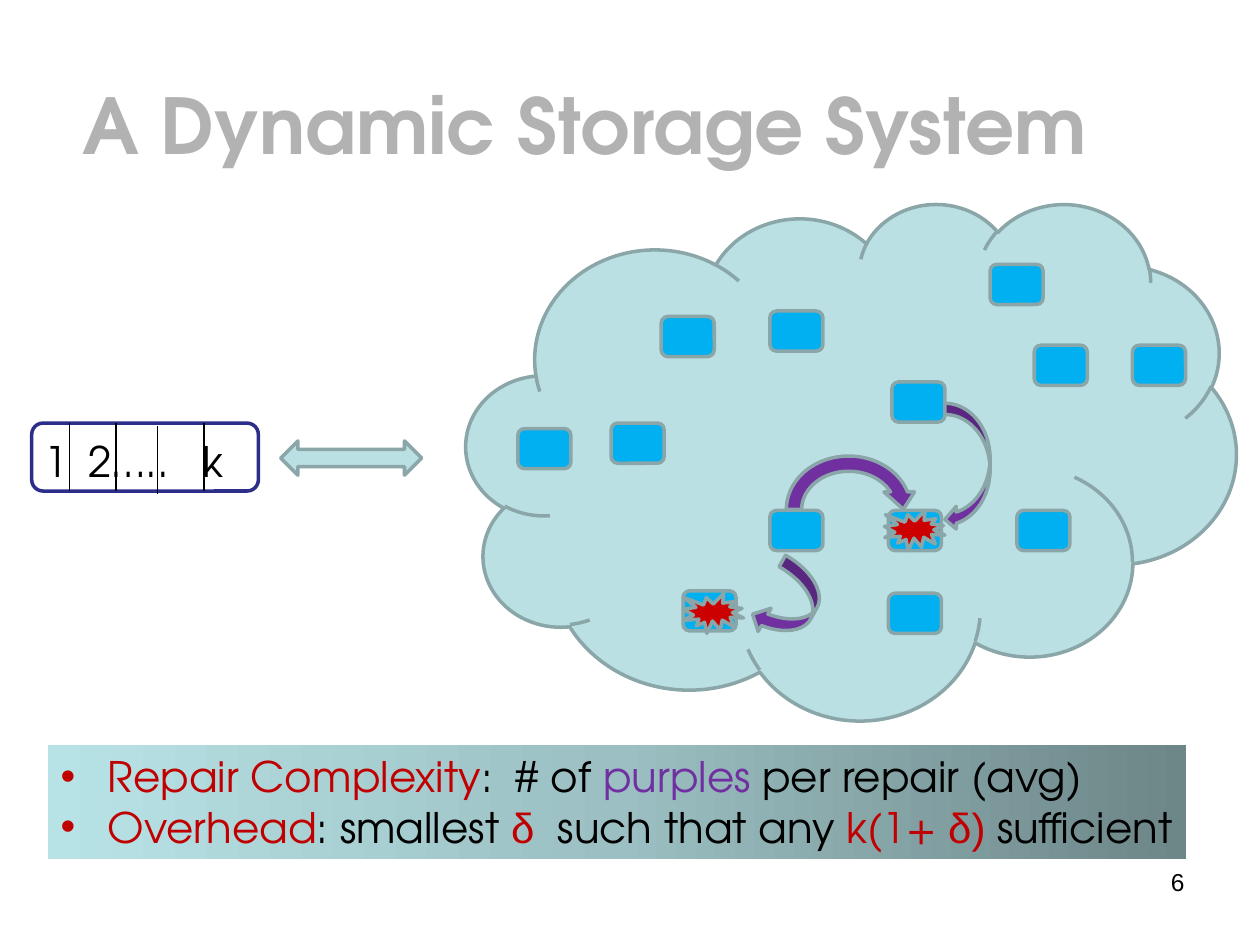
from copy import deepcopy

from lxml.etree import SubElement
from pptx import Presentation
from pptx.dml.color import RGBColor
from pptx.enum.shapes import MSO_CONNECTOR, MSO_SHAPE
from pptx.enum.text import MSO_ANCHOR, MSO_AUTO_SIZE, PP_ALIGN
from pptx.oxml.ns import qn
from pptx.util import Cm, Pt

GREY = RGBColor(0xB2, 0xB2, 0xB2)
BLACK = RGBColor(0, 0, 0)
WHITE = RGBColor(0xFF, 0xFF, 0xFF)
NAVY = RGBColor(0x2D, 0x2D, 0x8A)
PALE = RGBColor(0xBB, 0xE0, 0xE3)
OUTLINE = RGBColor(0x8A, 0xA6, 0xA8)
BLUE = RGBColor(0x00, 0xB0, 0xF0)
RED = RGBColor(0xCC, 0, 0)
DARK_RED = RGBColor(0xC0, 0, 0)
PURPLE = RGBColor(0x70, 0x30, 0xA0)
BAND_STOPS = [
    (0, RGBColor(0x6D, 0x86, 0x88)),
    (0.5, RGBColor(0x9B, 0xBF, 0xC2)),
    (1, RGBColor(0xB8, 0xE3, 0xE6)),
]
DISPLAY, PLAIN = "TeX Gyre Adventor", "Arial"

HEADING = "A Dynamic Storage System"
PAGE_NUMBER = "6"
FILE_BLOCKS = "1\t2…..\tk"
BLOCK_TABS = [0.89, 3.2]
DIVIDERS = [(1.4, 8.53), (2.34, 8.53), (3.18, 8.59), (4.11, 8.53)]
DIVIDER_LENGTH = 1.37
NODE_SIZE = (1.07, 0.81)
NODES = [
    (13.33, 6.38), (15.52, 6.27), (12.32, 8.53), (15.52, 10.29), (20.85, 6.96),
    (20.5, 10.29), (13.77, 11.91), (17.91, 10.29), (19.96, 5.33), (17.98, 7.7),
    (10.44, 8.64), (17.91, 11.96), (22.83, 6.96),
]
FAILURE_SIZE = (1.22, 0.81)
FAILURES = [(17.83, 10.29), (13.77, 11.96)]
REPAIRS = [
    (MSO_SHAPE.CIRCULAR_ARROW, (15.7, 9.04, 2.82, 2.46), 0),
    (MSO_SHAPE.CURVED_LEFT_ARROW, (19.05, 8.13, 0.91, 2.57), 0),
    (MSO_SHAPE.CURVED_LEFT_ARROW, (15.37, 11.35, 1.07, 1.63), 29.2),
]
MEASURES = [
    [("Repair Complexity", DISPLAY, DARK_RED), (":  # of ", DISPLAY, BLACK),
     ("purples", DISPLAY, PURPLE), (" per repair (avg)", DISPLAY, BLACK)],
    [("Overhead", DISPLAY, DARK_RED), (": smallest ", DISPLAY, BLACK),
     ("δ  ", PLAIN, DARK_RED), ("such that any ", DISPLAY, BLACK),
     ("k(1+ ", DISPLAY, DARK_RED), ("δ) ", PLAIN, DARK_RED),
     ("sufficient", DISPLAY, BLACK)],
]


def place(part, box):
    part.left, part.top, part.width, part.height = map(Cm, box)


def add_run(paragraph, text, face, size, color, bold=False):
    run = paragraph.add_run()
    run.text = text
    font = run.font
    font.name, font.size, font.bold = face, Pt(size), bold
    font.color.rgb = color


def add_figure(preset, box, fill, outline=OUTLINE):
    figure = slide.shapes.add_shape(preset, *map(Cm, box))
    figure.shadow.inherit = False
    figure.fill.solid()
    figure.fill.fore_color.rgb = fill
    figure.line.color.rgb = outline
    figure.line.width = Pt(2)
    return figure


def add_label(box):
    frame = slide.shapes.add_textbox(*map(Cm, box)).text_frame
    frame.word_wrap = True
    return frame.paragraphs[0]


def add_divider(x, top):
    divider = slide.shapes.add_connector(
        MSO_CONNECTOR.STRAIGHT, Cm(x), Cm(top), Cm(x), Cm(top + DIVIDER_LENGTH))
    divider.line.color.rgb = BLACK
    divider.line.width = Pt(0.75)
    SubElement(divider._element.spPr, qn("a:effectLst"))


def fill_band(band):
    band.fill.gradient()
    band.fill.gradient_angle = 180
    stop_list = band._element.spPr.find(qn("a:gradFill")).find(qn("a:gsLst"))
    stop_list.insert(1, deepcopy(stop_list[0]))
    for stop, (position, color) in zip(band.fill.gradient_stops, BAND_STOPS):
        stop.position = position
        stop.color.rgb = color


def add_bullet(paragraph):
    properties = paragraph._p.get_or_add_pPr()
    properties.set("marL", str(Cm(0.95)))
    properties.set("indent", str(-Cm(0.95)))
    SubElement(properties, qn("a:buFont"), typeface=PLAIN)
    SubElement(properties, qn("a:buChar"), char="•")


presentation = Presentation()
presentation.slide_width, presentation.slide_height = Cm(25.4), Cm(19.05)
slide = presentation.slides.add_slide(presentation.slide_layouts[1])

heading = slide.shapes.title
place(heading, (1.4, 0.91, 22.86, 3.18))
heading.text_frame.vertical_anchor = MSO_ANCHOR.MIDDLE
heading.text_frame.auto_size = MSO_AUTO_SIZE.NONE
heading_line = heading.text_frame.paragraphs[0]
heading_line.alignment = PP_ALIGN.LEFT
add_run(heading_line, HEADING, DISPLAY, 44, GREY, bold=True)

page_number = add_label((18.21, 17.35, 5.92, 1.32))
page_number.alignment = PP_ALIGN.RIGHT
add_run(page_number, PAGE_NUMBER, PLAIN, 14, BLACK)

add_figure(MSO_SHAPE.ROUNDED_RECTANGLE, (0.64, 8.53, 4.57, 1.37), WHITE, NAVY)
for x, top in DIVIDERS:
    add_divider(x, top)
file_blocks = add_label((0.64, 8.66, 4.57, 1.27))
tab_list = SubElement(file_blocks._p.get_or_add_pPr(), qn("a:tabLst"))
for position in BLOCK_TABS:
    SubElement(tab_list, qn("a:tab"), pos=str(Cm(position)), algn="l")
add_run(file_blocks, FILE_BLOCKS, DISPLAY, 24, BLACK)

add_figure(MSO_SHAPE.LEFT_RIGHT_ARROW, (5.66, 8.89, 2.84, 0.69), PALE)
add_figure(MSO_SHAPE.CLOUD, (9.4, 4.09, 15.52, 10.41), PALE)
for corner in NODES:
    add_figure(MSO_SHAPE.ROUNDED_RECTANGLE, corner + NODE_SIZE, BLUE)
for corner in FAILURES:
    add_figure(MSO_SHAPE.EXPLOSION1, corner + FAILURE_SIZE, RED)
for preset, box, angle in REPAIRS:
    add_figure(preset, box, PURPLE).rotation = angle

measures = slide.placeholders[1]
place(measures, (0.97, 15.01, 22.94, 2.31))
fill_band(measures)
measures_frame = measures.text_frame
measures_frame.word_wrap = False
measures_frame.auto_size = MSO_AUTO_SIZE.NONE
for index, pieces in enumerate(MEASURES):
    measure = measures_frame.add_paragraph() if index else measures_frame.paragraphs[0]
    add_bullet(measure)
    measure.space_before = Pt(0)
    for text, face, color in pieces:
        add_run(measure, text, face, 24, color)

presentation.save("out.pptx")
